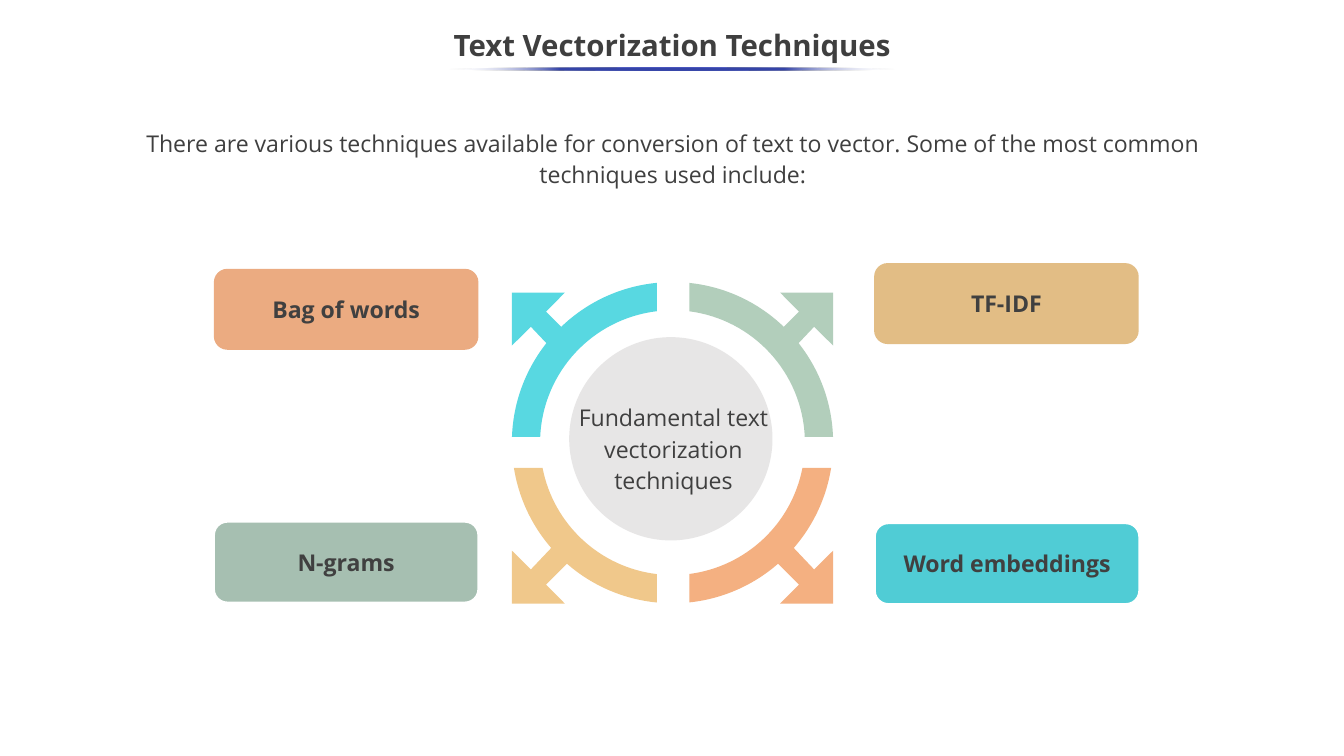
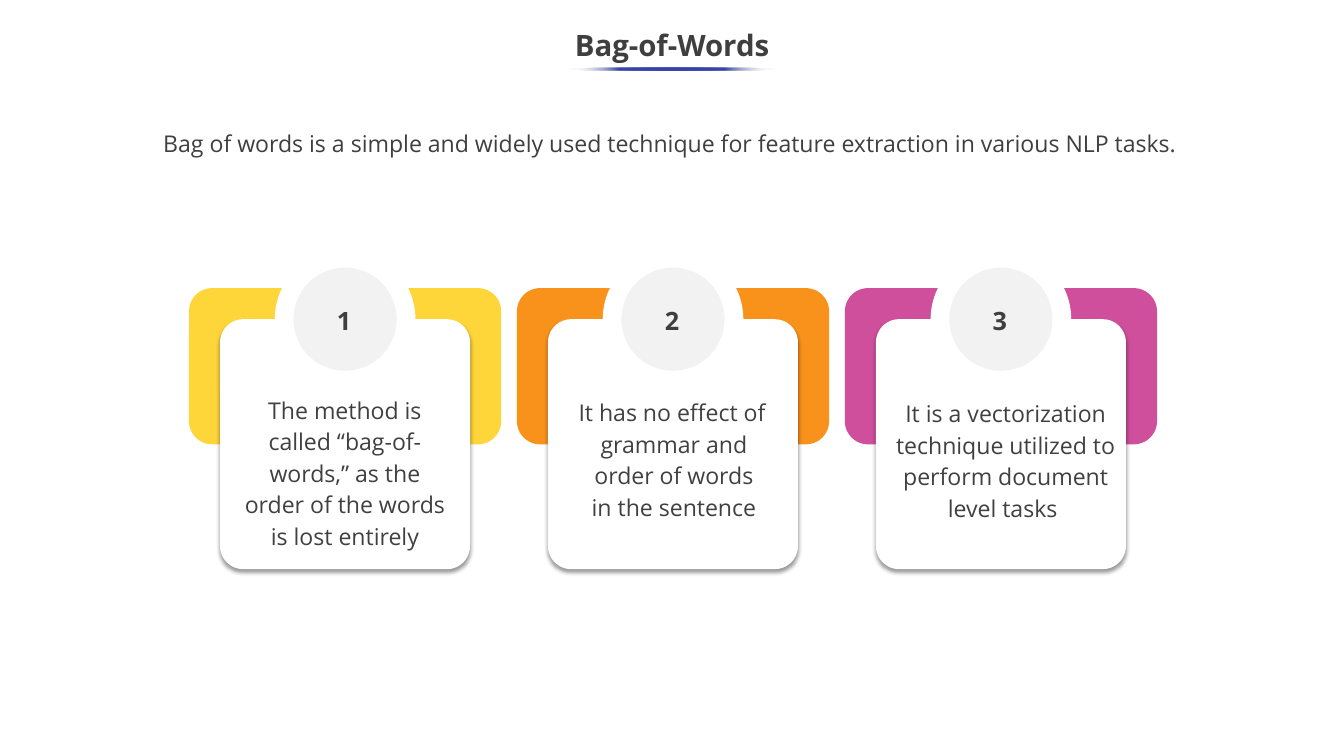
"""Build two slides on text vectorization, laid out on a grid of 80 columns by 45 rows."""
import math
from typing import NamedTuple, Optional

from lxml import etree
from pptx import Presentation
from pptx import slide as sl
from pptx import util as u
from pptx.dml.color import RGBColor
from pptx.enum import shapes, text
from pptx.oxml import ns
from pptx.shapes import autoshape

WIDTH, HEIGHT = u.Inches(17.78), u.Inches(10)
COLUMN, ROW = WIDTH / 80, HEIGHT / 45
FONT = "Open Sans"
COLORS = {
    "ink": "3F3F3F", "label": "404040", "white": "FFFFFF", "rule": "3645A9",
    "hub": "E7E6E6", "disc": "F2F2F2", "shadow": "000000",
    "apricot": "EBAB81", "sand": "E2BD85", "teal": "50CCD5", "sage": "A6BFB1",
    "aqua": "58D8E1", "mint": "B2CEBB", "peach": "F4B081", "straw": "F0C88B",
    "yellow": "FED639", "orange": "F9921A", "magenta": "CF4F9C",
}


class Area(NamedTuple):
    left: float
    top: float
    width: float
    height: float

    def emu(self) -> tuple:
        return (round(self.left * COLUMN), round(self.top * ROW),
                round(self.width * COLUMN), round(self.height * ROW))


class Style(NamedTuple):
    size: int = 22
    color: str = "ink"
    bold: bool = False
    spacing: float = 1.0
    anchor: text.MSO_ANCHOR = text.MSO_ANCHOR.MIDDLE
    inset: float = 0.05
    hanging: float = 0


class Technique(NamedTuple):
    name: str
    area: Area
    fill: str
    outlined: bool
    arrow_fill: str
    side_x: int
    side_y: int


class Point(NamedTuple):
    number: int
    statement: str
    area: Area
    fill: str
    hanging: float = 0


TITLE = Style(28, bold=True, spacing=0.9)
INTRO = Style(spacing=1.14, anchor=text.MSO_ANCHOR.TOP, inset=0)
HUB_TEXT = INTRO._replace(inset=0.05)
STATEMENT = HUB_TEXT._replace(color="label")
LABEL = Style(color="label", bold=True)
NUMBER = Style(24, bold=True, anchor=text.MSO_ANCHOR.TOP)

LABEL_WIDTH, LABEL_HEIGHT = 15.75, 4.82
LEFT_LABEL, RIGHT_LABEL = 12.73, 52.03
TECHNIQUES = [
    Technique("Bag of words", Area(LEFT_LABEL, 16, LABEL_WIDTH, LABEL_HEIGHT),
              "apricot", False, "aqua", -1, -1),
    Technique("TF-IDF", Area(RIGHT_LABEL, 15.66, LABEL_WIDTH, LABEL_HEIGHT),
              "sand", False, "mint", 1, -1),
    Technique("Word embeddings", Area(RIGHT_LABEL + 0.04, 31.14, LABEL_WIDTH, LABEL_HEIGHT),
              "teal", True, "peach", 1, 1),
    Technique("N-grams", Area(LEFT_LABEL, 31.05, LABEL_WIDTH, LABEL_HEIGHT),
              "sage", True, "straw", -1, 1),
]
RING_X, RING_Y = 40.03, 26.35
OUTER, INNER = 9.56, 7.88
SIDE_CUT = {-1: 0.93, 1: 1.01}
LEVEL_CUT = {-1: 0.35, 1: 1.5}
ARROW_CORNER = {-1: 8.93, 1: 9.58}
ARROW = [(0, 0), (3.15, 0), (2.03, 1.13), (3.47, 2.57),
         (2.52, 3.5), (1.13, 2.03), (0, 3.15)]

POINTS = [
    Point(1, "The method is called “bag-of-words,” as the order of the words is lost entirely",
          Area(13.98, 23.13, 13.1, 9.95), "yellow"),
    Point(2, "It has no effect of grammar and order of words in the sentence",
          Area(33.97, 23.27, 12.06, 8.06), "orange", 0.05),
    Point(3, "It is a vectorization technique utilized to perform document level tasks ",
          Area(52.14, 23.34, 15.44, 8.06), "magenta"),
]
BAND = Area(11.25, 17.15, 18.58, 9.3)
BAND_PITCH = 19.52
CARD_SIDE, CARD_TOP, CORNER = 14.88, 19, 1.38
NOTCH, DISC = 8.37, 6.14
NUMBER_TOP, NUMBER_WIDTH, NUMBER_HEIGHT = 17.95, 1.76, 2.25


def rgb(name: str) -> RGBColor:
    """Look a colour up by name."""
    return RGBColor.from_string(COLORS[name])


def write(shape: autoshape.Shape, words: str, style: Style, wrap: bool = True) -> None:
    """Set centred text in one style."""
    frame = shape.text_frame
    frame.text = words
    frame.word_wrap = wrap
    frame.vertical_anchor = style.anchor
    frame.margin_top = frame.margin_bottom = u.Inches(style.inset)
    paragraph = frame.paragraphs[0]
    paragraph.alignment = text.PP_ALIGN.CENTER
    paragraph.line_spacing = style.spacing
    if style.hanging:
        indent = u.Inches(style.hanging)
        properties = paragraph._p.get_or_add_pPr()
        properties.set("marL", str(indent))
        properties.set("indent", str(-indent))
    font = paragraph.runs[0].font
    font.name, font.size, font.bold = FONT, u.Pt(style.size), style.bold
    font.color.rgb = rgb(style.color)


def add_text(slide: sl.Slide, area: Area, words: str, style: Style, wrap: bool = True) -> None:
    """Add a text box."""
    write(slide.shapes.add_textbox(*area.emu()), words, style, wrap)


def paint(shape: autoshape.Shape, fill: str) -> None:
    """Give a shape a flat fill with no outline or shadow."""
    shape.shadow.inherit = False
    shape.fill.solid()
    shape.fill.fore_color.rgb = rgb(fill)
    shape.line.fill.background()


def add_oval(slide: sl.Slide, area: Area, fill: str) -> autoshape.Shape:
    """Add a flat ellipse."""
    oval = slide.shapes.add_shape(shapes.MSO_SHAPE.OVAL, *area.emu())
    paint(oval, fill)
    return oval


def add_circle(slide: sl.Slide, x: float, y: float, size: float, fill: str) -> None:
    """Add a flat circle around a centre."""
    add_oval(slide, Area(x - size / 2, y - size / 2, size, size), fill)


def add_rounded(slide: sl.Slide, area: Area, fill: str,
                corner: Optional[float] = None) -> autoshape.Shape:
    """Add a rounded rectangle, with a corner radius in rows if given."""
    panel = slide.shapes.add_shape(shapes.MSO_SHAPE.ROUNDED_RECTANGLE, *area.emu())
    paint(panel, fill)
    if corner is not None:
        panel.adjustments[0] = corner / min(area.width, area.height)
    return panel


def add_outline(slide: sl.Slide, corners: list, fill: str) -> autoshape.Shape:
    """Add a closed polygon from grid positions."""
    start, *rest = [(round(x * COLUMN), round(y * ROW)) for x, y in corners]
    builder = slide.shapes.build_freeform(*start, scale=1.0)
    builder.add_line_segments(rest, close=True)
    outline = builder.convert_to_shape()
    paint(outline, fill)
    return outline


def bend(outline: autoshape.Shape, firsts: tuple) -> None:
    """Turn each three segments that begin at the given indexes into one curve."""
    segments = list(outline._element.iter(ns.qn("a:lnTo")))
    for first in firsts:
        curve = etree.Element(ns.qn("a:cubicBezTo"))
        segments[first].addprevious(curve)
        for segment in segments[first:first + 3]:
            curve.append(segment[0])
            segment.getparent().remove(segment)


def add_color(parent: etree._Element, name: str, alpha: int) -> None:
    """Append a colour with an opacity in percent."""
    color = etree.SubElement(parent, ns.qn("a:srgbClr"), val=COLORS[name])
    etree.SubElement(color, ns.qn("a:alpha"), val=str(alpha * 1000))


def drop_shadow(shape: autoshape.Shape) -> None:
    """Cast a soft shadow straight down."""
    effects = shape._element.spPr.find(ns.qn("a:effectLst"))
    shadow = etree.SubElement(
        effects, ns.qn("a:outerShdw"), blurRad=str(u.Pt(4)), dist=str(u.Pt(3)),
        dir="5400000", algn="t", rotWithShape="0")
    add_color(shadow, "shadow", 40)


def add_heading(slide: sl.Slide, title: str, rule_width: float, intro: str) -> None:
    """Add the title, the fading rule under it and the introduction."""
    add_text(slide, Area(0, 1.13, 80, 3.38), title, TITLE)
    add_text(slide, Area(6.35, 7.45, 67.4, 4.46), intro, INTRO)
    rule = add_oval(slide, Area(40 - rule_width / 2, 4, rule_width, 0.2), "rule")
    rule.fill.gradient()
    rule.fill.gradient_angle = 180
    stops = rule._element.spPr.find(ns.qn("a:gradFill")).find(ns.qn("a:gsLst"))
    for stop in list(stops):
        stops.remove(stop)
    for place in range(0, 101, 25):
        stop = etree.SubElement(stops, ns.qn("a:gs"), pos=str(place * 1000))
        faded = place in (0, 100)
        add_color(stop, "white" if faded else "rule", 0 if faded else 100)


def arc(radius: float, level_cut: float, side_cut: float) -> list:
    """Give the ends and control points of a quarter arc between its cuts."""
    first = math.asin(level_cut / radius)
    last = math.acos(side_cut / radius)
    reach = 4 / 3 * math.tan((last - first) / 4)
    ends = [(radius * math.cos(angle), radius * math.sin(angle)) for angle in (first, last)]
    (x1, y1), (x2, y2) = ends
    return [ends[0], (x1 - reach * y1, y1 + reach * x1),
            (x2 + reach * y2, y2 - reach * x2), ends[1]]


def add_technique(slide: sl.Slide, technique: Technique) -> None:
    """Add a technique's label with its ring quarter and arrow."""
    label = add_rounded(slide, technique.area, technique.fill)
    if technique.outlined:
        label.line.color.rgb = rgb("white")
        label.line.width = u.Pt(2)
    write(label, technique.name, LABEL)
    cuts = LEVEL_CUT[technique.side_y], SIDE_CUT[technique.side_x]
    quarter = arc(OUTER, *cuts) + arc(INNER, *cuts)[::-1]
    corner = ARROW_CORNER[technique.side_y]
    arrow = [(OUTER - x, corner - y) for x, y in ARROW]
    for outline, curves in ((quarter, (0, 4)), (arrow, ())):
        placed = [(RING_X + technique.side_x * x, RING_Y + technique.side_y * y)
                  for x, y in outline]
        bend(add_outline(slide, placed, technique.arrow_fill), curves)


def add_point(slide: sl.Slide, point: Point) -> None:
    """Add a numbered card on its coloured band."""
    band = BAND._replace(left=BAND.left + (point.number - 1) * BAND_PITCH)
    center = band.left + band.width / 2
    add_rounded(slide, band, point.fill, CORNER)
    card = Area(center - CARD_SIDE / 2, CARD_TOP, CARD_SIDE, CARD_SIDE)
    drop_shadow(add_rounded(slide, card, "white", CORNER))
    add_text(slide, point.area, point.statement, STATEMENT._replace(hanging=point.hanging))
    add_circle(slide, center, CARD_TOP, NOTCH, "white")
    add_circle(slide, center, CARD_TOP, DISC, "disc")
    add_text(slide, Area(center - NUMBER_WIDTH / 2 - 0.06, NUMBER_TOP, NUMBER_WIDTH, NUMBER_HEIGHT),
             str(point.number), NUMBER, wrap=False)


def main() -> None:
    """Build and save the deck."""
    deck = Presentation()
    deck.slide_width, deck.slide_height = WIDTH, HEIGHT
    blank = deck.slide_layouts[6]

    overview = deck.slides.add_slide(blank)
    add_heading(overview, "Text Vectorization Techniques", 26.6,
                "There are various techniques available for conversion of text to vector. "
                "Some of the most common techniques used include:")
    for technique in TECHNIQUES:
        add_technique(overview, technique)
    add_circle(overview, 39.93, 26.12, 12.1, "hub")
    add_text(overview, Area(32.75, 23.56, 14.67, 6.17),
             "Fundamental text vectorization techniques", HUB_TEXT)

    bag_of_words = deck.slides.add_slide(blank)
    add_heading(bag_of_words, "Bag-of-Words", 12.4,
                "Bag of words is a simple and widely used technique for feature extraction "
                "in various NLP tasks. ")
    for point in POINTS:
        add_point(bag_of_words, point)

    deck.save("out.pptx")


if __name__ == "__main__":
    main()
